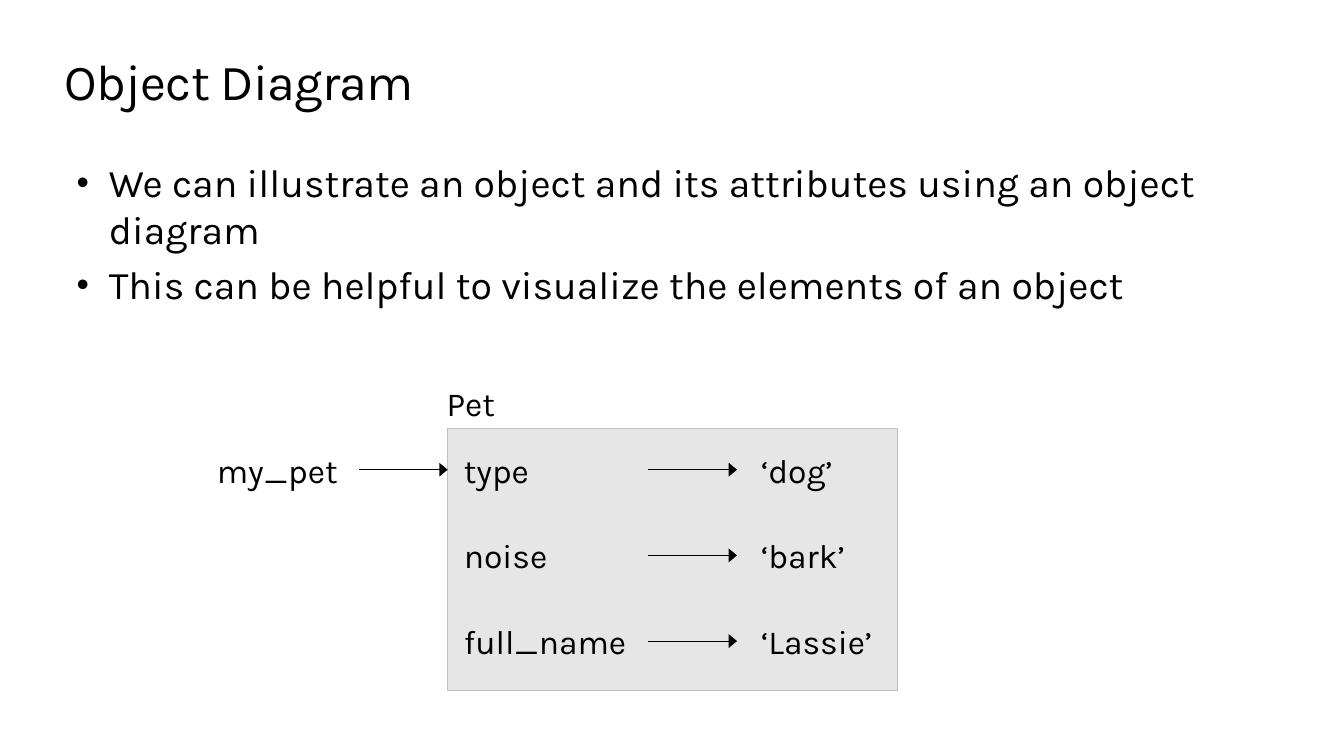
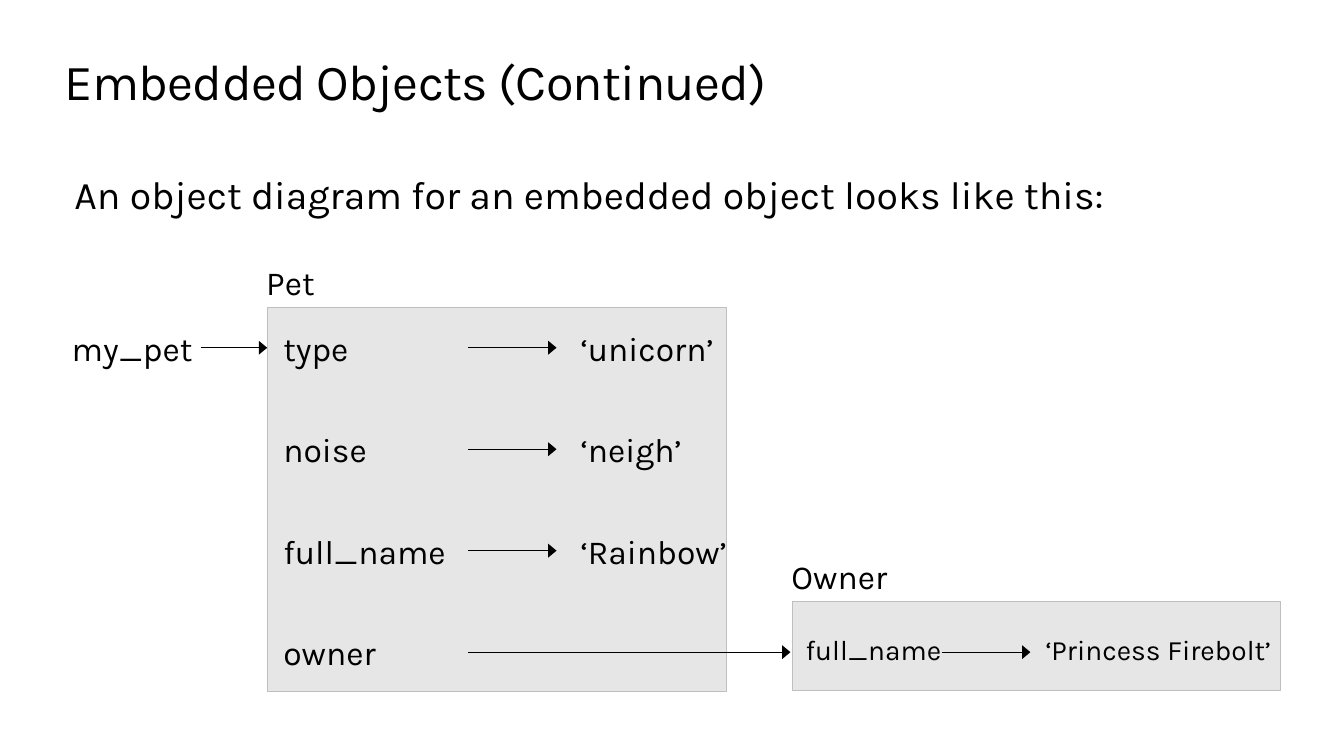
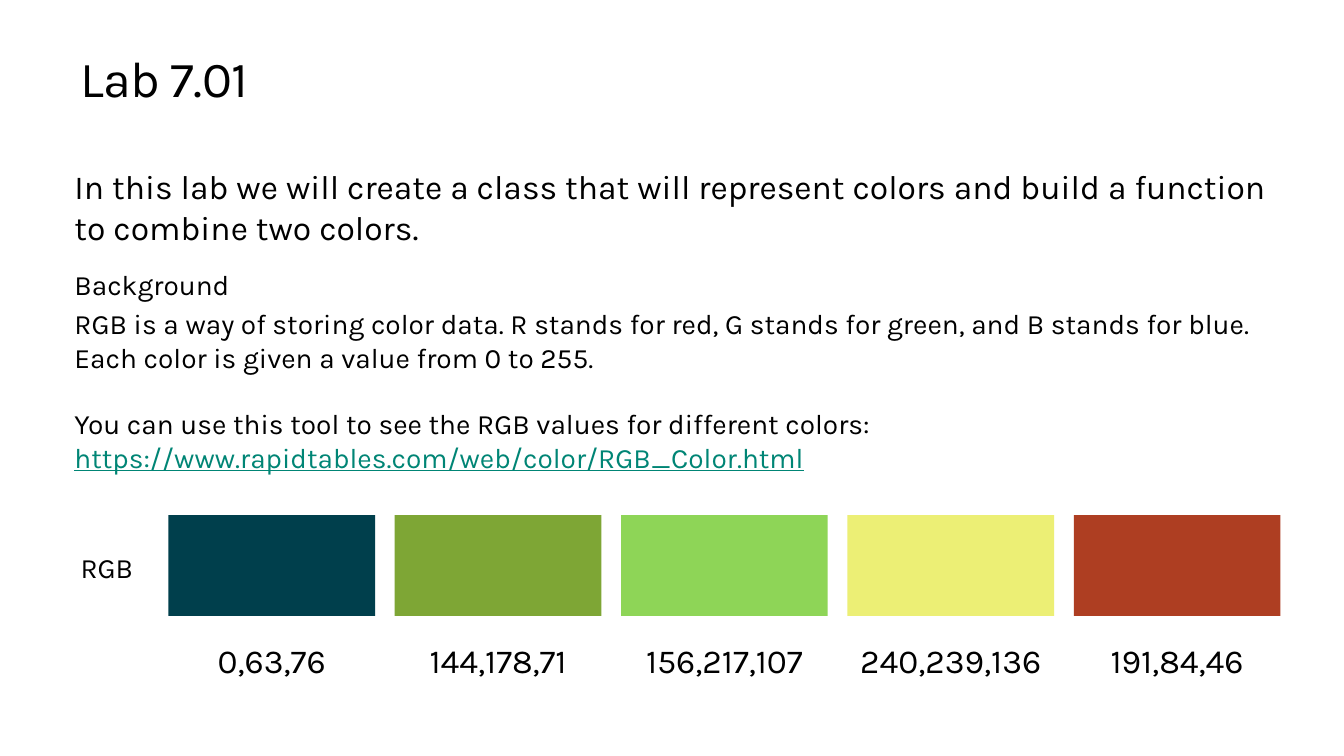
import lxml.etree
import pptx
import pptx.dml.color
import pptx.enum.shapes
import pptx.enum.text
import pptx.oxml.ns
import pptx.util

Inches = pptx.util.Inches
Pt = pptx.util.Pt
Align = pptx.enum.text.PP_ALIGN
Anchor = pptx.enum.text.MSO_ANCHOR
Fit = pptx.enum.text.MSO_AUTO_SIZE

# Shared look
FONT = "Karla"
INK = "000000"
PANEL = "E6E6E6"
EDGE = "BFBFBF"
LINK = "008575"
WIDE = 12.05
LEFT = 0.64


def color(code):
    return pptx.dml.color.RGBColor.from_string(code)


def add_xml(parent, tag, **attrs):
    return lxml.etree.SubElement(parent, pptx.oxml.ns.qn(tag), attrs)


# Text
def add_run(para, text, size, code=INK):
    run = para.add_run()
    run.text = text
    run.font.name = FONT
    run.font.size = Pt(size)
    run.font.color.rgb = color(code)
    return run


def place(shape, left, top, width, height):
    shape.left, shape.top = Inches(left), Inches(top)
    shape.width, shape.height = Inches(width), Inches(height)


def set_frame(frame, anchor, inset=True, wrap=True):
    frame.word_wrap = wrap
    frame.vertical_anchor = anchor
    if not inset:
        frame.margin_left = frame.margin_right = 0
        frame.margin_top = frame.margin_bottom = 0


def add_paras(frame, texts, size, align=Align.LEFT):
    for num, text in enumerate(texts):
        para = frame.add_paragraph() if num else frame.paragraphs[0]
        para.alignment = align
        para.space_before = Pt(size * 0.2 if num else 0)
        add_run(para, text, size)


def add_text(slide, left, top, width, height, texts, size,
             align=Align.LEFT, anchor=Anchor.MIDDLE):
    box = slide.shapes.add_textbox(Inches(left), Inches(top),
                                   Inches(width), Inches(height))
    set_frame(box.text_frame, anchor)
    add_paras(box.text_frame, texts, size, align)
    return box.text_frame


def add_label(slide, left, mid, text, size=24, width=1.75):
    box = slide.shapes.add_textbox(Inches(left), Inches(mid - 0.2),
                                   Inches(width), Inches(0.4))
    set_frame(box.text_frame, Anchor.MIDDLE, inset=False, wrap=False)
    add_paras(box.text_frame, [text], size)


def add_slide(deck, layout, text, left=LEFT, top=0.5):
    slide = deck.slides.add_slide(deck.slide_layouts[layout])
    title = slide.shapes.title
    place(title, left, top, WIDE, 0.61)
    frame = title.text_frame
    set_frame(frame, Anchor.TOP, inset=False)
    frame.auto_size = Fit.SHAPE_TO_FIT_TEXT
    add_paras(frame, [text], 36)
    frame.paragraphs[0].runs[0]._r.get_or_add_rPr().set("spc", "-50")
    return slide


def add_list(slide, texts):
    body = slide.placeholders[1]
    place(body, LEFT, 1.57, 11.41, 1.51)
    frame = body.text_frame
    set_frame(frame, Anchor.TOP, inset=False)
    frame.auto_size = Fit.SHAPE_TO_FIT_TEXT
    add_paras(frame, texts, 28)
    for para in frame.paragraphs:
        props = para._p.get_or_add_pPr()
        props.set("marL", str(Inches(0.44)))
        props.set("indent", str(Inches(-0.32)))
        add_xml(props, "a:buSzPct", val="90000")
        add_xml(props, "a:buFont", typeface="Arial")
        add_xml(props, "a:buChar", char="•")


# Shapes
def add_rect(slide, left, top, width, height, fill, edge=None):
    rect = slide.shapes.add_shape(
        pptx.enum.shapes.MSO_SHAPE.RECTANGLE,
        Inches(left), Inches(top), Inches(width), Inches(height))
    rect.shadow.inherit = False
    rect.fill.solid()
    rect.fill.fore_color.rgb = color(fill)
    if edge:
        rect.line.color.rgb = color(edge)
        rect.line.width = Pt(0.75)
    else:
        rect.line.fill.background()


def add_arrow(slide, start, end, mid):
    arrow = slide.shapes.add_connector(
        pptx.enum.shapes.MSO_CONNECTOR.STRAIGHT,
        Inches(start), Inches(mid), Inches(end), Inches(mid))
    arrow.line.color.rgb = color(INK)
    arrow.line.width = Pt(0.75)
    add_xml(arrow.line._get_or_add_ln(), "a:tailEnd", type="triangle", w="lg")
    add_xml(arrow._element.spPr, "a:effectLst")


def add_object(slide, name, left, top, width, height, rows, step=0,
               first=0.41, cols=(0.16, 1.99, 3.11), size=24, lift=0,
               room=1.75):
    """Draw a named panel with one line per attribute."""
    add_label(slide, left - 0.01, top - 0.25, name)
    add_rect(slide, left, top, width, height, PANEL, EDGE)
    key, tail, value = (left + col for col in cols)
    for num, (attr, text) in enumerate(rows):
        mid = top + first + num * step
        add_label(slide, key, mid - lift, attr, size)
        if text:
            add_arrow(slide, tail, tail + 0.88, mid)
            add_label(slide, value, mid - lift, text, size, room)


# Slides
def object_slide(deck):
    slide = add_slide(deck, 1, "Object Diagram")
    add_list(slide, [
        "We can illustrate an object and its attributes using an object diagram",
        "This can be helpful to visualize the elements of an object"])
    add_object(slide, "Pet", 4.44, 4.25, 4.46, 2.6,
               [("type", "‘dog’"), ("noise", "‘bark’"),
                ("full_name", "‘Lassie’")], step=0.85)
    add_label(slide, 2.15, 4.66, "my_pet")
    add_arrow(slide, 3.56, 4.44, 4.66)


def embed_slide(deck):
    slide = add_slide(deck, 5, "Embedded Objects (Continued)")
    add_text(slide, LEFT, 1.64, 11.41, 0.57,
             ["An object diagram for an embedded object looks like this:"],
             28, anchor=Anchor.TOP)
    add_object(slide, "Pet", 2.65, 3.05, 4.56, 3.81,
               [("type", "‘unicorn’"), ("noise", "‘neigh’"),
                ("full_name", "‘Rainbow’"), ("owner", "")],
               step=3.02 / 3, first=0.4)
    add_label(slide, 0.71, 3.45, "my_pet")
    add_arrow(slide, 1.99, 2.65, 3.45)
    add_object(slide, "Owner", 7.86, 5.97, 4.84, 0.88,
               [("full_name", "‘Princess Firebolt’")], first=0.5,
               cols=(0.13, 1.48, 2.51), size=20, lift=0.03, room=2.33)
    add_arrow(slide, 4.64, 7.84, 6.47)


def lab_slide(deck):
    slide = add_slide(deck, 5, "Lab 7.01", 0.8, 0.47)
    add_text(slide, LEFT, 1.57, WIDE, 0.96, [
        "In this lab we will create a class that will represent colors "
        "and build a function to combine two colors."], 24)
    add_text(slide, LEFT, 2.57, WIDE, 1.22, [
        "Background",
        "RGB is a way of storing color data. R stands for red, G stands for "
        "green, and B stands for blue. Each color is given a value from 0 "
        "to 255."], 20)
    frame = add_text(slide, LEFT, 3.83, WIDE, 1.08, [
        "You can use this tool to see the RGB values for different colors: "],
        20)
    link = add_run(frame.paragraphs[0],
                   "https://www.rapidtables.com/web/color/RGB_Color.html",
                   20, LINK)
    link.font.underline = True

    # Colour samples
    add_text(slide, LEFT, 5.32, 0.84, 0.61, ["RGB"], 20, Align.CENTER)
    width, last = 2.05, 10.65
    samples = [("003F4C", "0,63,76"), ("7EA635", "144,178,71"),
               ("8ED557", "156,217,107"), ("ECEF75", "240,239,136"),
               ("AE3E22", "191,84,46")]
    step = (last - 1.67) / (len(samples) - 1)
    for num, (fill, text) in enumerate(samples):
        left = 1.67 + num * step
        add_rect(slide, left, 5.11, width, 1, fill)
        add_text(slide, left, 6.24, width, 0.62, [text], 24, Align.CENTER)


def main():
    deck = pptx.Presentation()
    deck.slide_width, deck.slide_height = Inches(13.33), Inches(7.5)
    object_slide(deck)
    embed_slide(deck)
    lab_slide(deck)
    deck.save("out.pptx")


if __name__ == "__main__":
    main()
